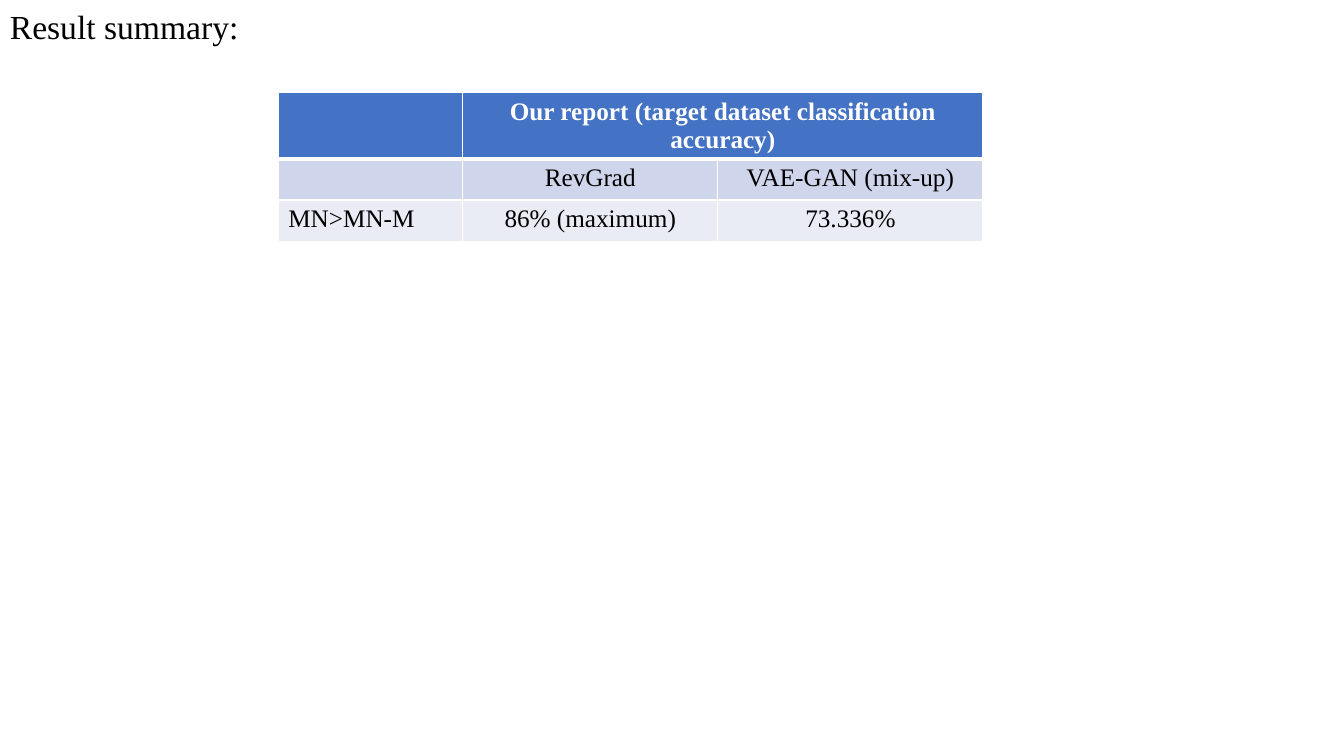
import pptx
import pptx.util
import pptx.dml.color
import pptx.enum.text
import lxml.etree
from pptx.oxml.ns import qn

Inches = pptx.util.Inches
ALIGN = pptx.enum.text.PP_ALIGN
ANCHOR = pptx.enum.text.MSO_ANCHOR
WHITE, BLACK = "FFFFFF", "000000"
FILLS = ["4472C4", "CFD5EA", "E9EBF5"]
WIDTHS = [1.83, 2.53, 2.63]
ROW = 0.41
RESULTS = [
    ["", "Our report (target dataset classification accuracy)", ""],
    ["", "RevGrad", "VAE-GAN (mix-up)"],
    ["MN>MN-M", "86% (maximum)", "73.336%"],
]


def color(code):
    """Turn a hex string into a colour."""
    return pptx.dml.color.RGBColor.from_string(code)


def write(frame, text, size=18, tint=BLACK, bold=False, align=ALIGN.LEFT, space=1.0):
    """Write one formatted paragraph into a text frame."""
    para = frame.paragraphs[0]
    para.alignment = align
    para.line_spacing = space
    run = para.add_run()
    run.text = text
    font = run.font
    font.name = "Times New Roman"
    font.size = pptx.util.Pt(size)
    font.bold = bold
    font.color.rgb = color(tint)


def border(cell, side, width):
    """Draw a white line on one side of a cell."""
    props = cell._tc.get_or_add_tcPr()
    line = lxml.etree.SubElement(props, qn("a:ln" + side), w=str(pptx.util.Pt(width)))
    fill = lxml.etree.SubElement(line, qn("a:solidFill"))
    lxml.etree.SubElement(fill, qn("a:srgbClr"), val=WHITE)


def title(slide, left, top, width, height):
    """Place the slide title in its box."""
    box = slide.shapes.add_textbox(Inches(left), Inches(top), Inches(width), Inches(height))
    frame = box.text_frame
    frame.word_wrap = True
    frame.vertical_anchor = ANCHOR.MIDDLE
    write(frame, "Result summary:", size=24, space=0.9)


def results(slide, left, top, width, height):
    """Place the table of accuracies in its box."""
    shape = slide.shapes.add_table(
        len(RESULTS), len(WIDTHS), Inches(left), Inches(top), Inches(width), Inches(height))
    table = shape.table
    for column, wide in zip(table.columns, WIDTHS):
        column.width = Inches(wide)
    for r, (row, texts) in enumerate(zip(table.rows, RESULTS)):
        row.height = Inches(ROW)
        head = r == 0
        for c, (cell, text) in enumerate(zip(row.cells, texts)):
            for side in "LRTB":
                thick = (head and side == "B") or (r == 1 and side == "T")
                border(cell, side, 3 if thick else 1)
            cell.fill.solid()
            cell.fill.fore_color.rgb = color(FILLS[r])
            if text:
                write(cell.text_frame, text, tint=WHITE if head else BLACK, bold=head,
                      align=ALIGN.CENTER if c else ALIGN.LEFT)
    table.cell(0, 1).merge(table.cell(0, 2))
    shape.height = Inches(height)


def main():
    """Build and save the slide."""
    deck = pptx.Presentation()
    deck.slide_width, deck.slide_height = Inches(13.33), Inches(7.5)
    slide = deck.slides.add_slide(deck.slide_layouts[6])
    results(slide, 2.76, 0.92, 7, 1.51)
    title(slide, 0, 0, 3.34, 0.56)
    deck.save("out.pptx")


if __name__ == "__main__":
    main()
